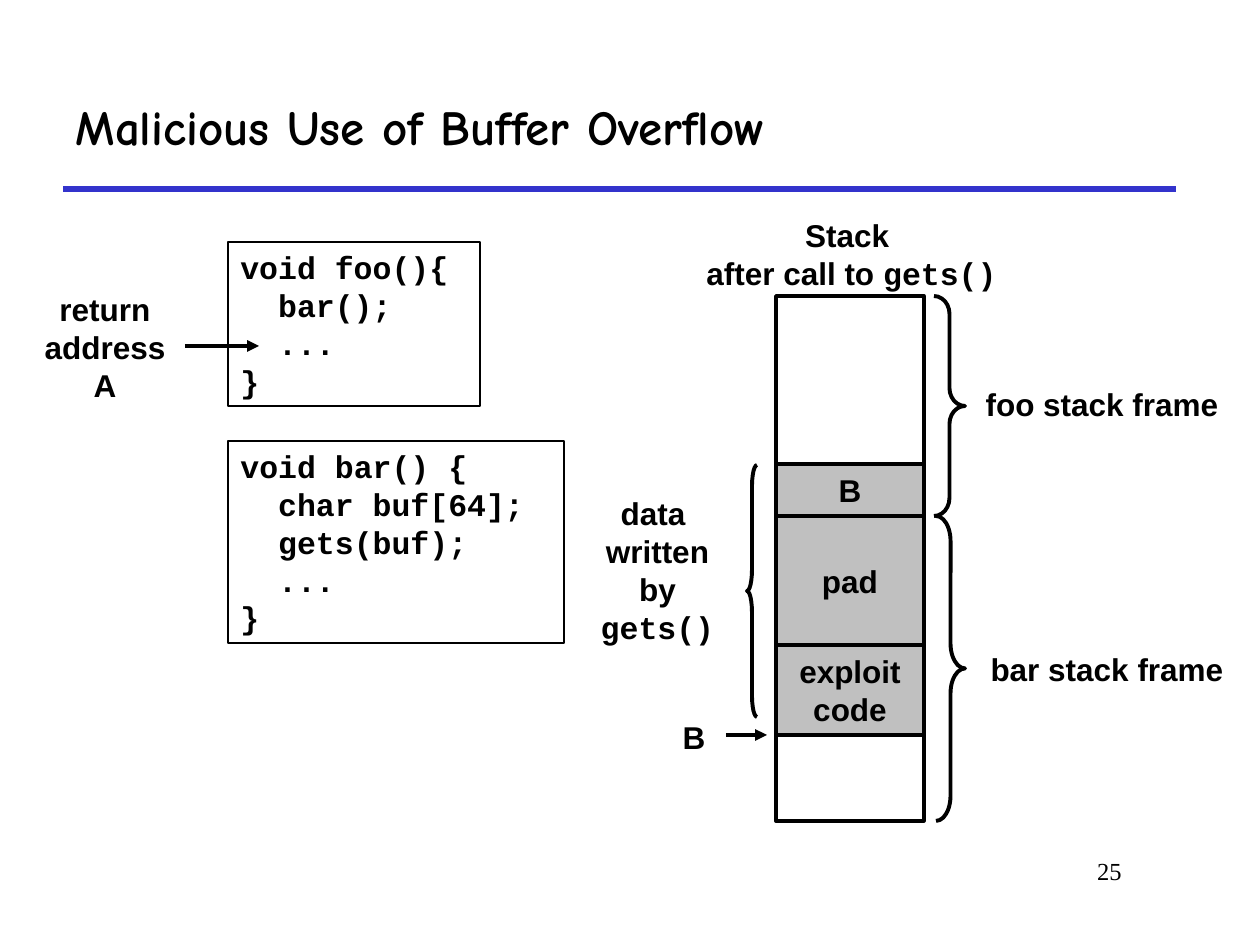
from dataclasses import dataclass

from lxml.etree import SubElement
from pptx import Presentation
from pptx.dml.color import RGBColor
from pptx.enum.shapes import MSO_CONNECTOR as Conn, MSO_SHAPE as Shape
from pptx.enum.text import MSO_ANCHOR as Anchor, MSO_AUTO_SIZE as Fit, PP_ALIGN as Align
from pptx.oxml.ns import qn
from pptx.util import Pt

EMU_PER_PX = 914400 / 126
BLACK, WHITE, GREY, BLUE = "000000", "FFFFFF", "C0C0C0", "3333CC"
SANS, MONO = "Arial", "Courier New"
STACK_X, STACK_W = 776, 148
CALL = "gets()"


@dataclass
class Code:
    y: int
    w: int
    h: int
    text: str


@dataclass
class Cell:
    y: int
    h: int
    fill: str
    line: float
    text: str = ""


@dataclass
class Label:
    x: int
    y: int
    w: int
    h: int
    text: str


@dataclass
class Brace:
    kind: Shape
    x: int
    y: int
    w: int
    h: int
    radius: int


@dataclass
class Line:
    x1: int
    x2: int
    y: int
    width: float
    color: str = BLACK
    arrow: bool = True


CODES = [
    Code(441, 336, 202, "void bar() {\n  char buf[64];\n  gets(buf);\n  ...\n}"),
    Code(242, 252, 164, "void foo(){\n  bar();\n  ...\n}"),
]
CELLS = [
    Cell(464, 52, GREY, 2, "B"),
    Cell(296, 168, WHITE, 2),
    Cell(735, 86, WHITE, 2),
    Cell(645, 90, GREY, 2.25, "exploit\ncode"),
    Cell(516, 129, GREY, 2.25, "pad"),
]
LABELS = [
    Label(32, 284, 146, 126, "return\naddress\nA"),
    Label(694, 210, 315, 88, "Stack \nafter call to gets()"),
    Label(973, 379, 258, 50, "foo stack frame"),
    Label(978, 644, 258, 50, "bar stack frame"),
    Label(670, 712, 48, 50, "B"),
    Label(588, 488, 139, 164, "data \nwritten\nby\ngets()"),
]
BRACES = [
    Brace(Shape.RIGHT_BRACE, 934, 296, 31, 220, 18),
    Brace(Shape.RIGHT_BRACE, 936, 516, 29, 305, 25),
    Brace(Shape.LEFT_BRACE, 747, 465, 10, 252, 21),
]
LINES = [
    Line(63, 1176, 189, 3, BLUE, False),
    Line(185, 259, 346, 2.25),
    Line(726, 767, 735, 2.25),
]


def px(*values: int) -> list[int]:
    """Turn pixel lengths into EMU."""
    return [round(v * EMU_PER_PX) for v in values]


def rgb(color: str) -> RGBColor:
    """Turn a hex string into a colour."""
    return RGBColor.from_string(color)


def style_run(r, font: str, size: int = 18, bold: bool = True) -> None:
    """Format one run in black."""
    r.font.name, r.font.size, r.font.bold = font, Pt(size), bold
    r.font.color.rgb = rgb(BLACK)


def write(tf, text: str, font: str, align: Align, anchor: Anchor, wrap: bool = False) -> None:
    """Write lines of text, setting the call to gets in monospace."""
    tf.word_wrap, tf.vertical_anchor = wrap, anchor
    tf.text = text
    for p in tf.paragraphs:
        p.alignment, p.line_spacing = align, Pt(21.6)
        before, call, after = p.text.partition(CALL)
        if call and font != MONO:
            p.text = before
            p.add_run().text = call + after
        for r in p.runs:
            style_run(r, MONO if CALL in r.text else font)


def add_outline(s, kind: Shape, box: list[int], width: float, fill: str = ""):
    """Add a black-outlined shape, filled when a colour is given."""
    sp = s.shapes.add_shape(kind, *box)
    sp.shadow.inherit = False
    if fill:
        sp.fill.solid()
        sp.fill.fore_color.rgb = rgb(fill)
    else:
        sp.fill.background()
    sp.line.color.rgb, sp.line.width = rgb(BLACK), Pt(width)
    return sp


def add_code(s, code: Code) -> None:
    """Add a listing in a thin frame."""
    sp = add_outline(s, Shape.RECTANGLE, px(228, code.y, code.w, code.h), 1)
    write(sp.text_frame, code.text, MONO, Align.LEFT, Anchor.TOP, True)


def add_cell(s, cell: Cell) -> None:
    """Add one region of the stack."""
    sp = add_outline(s, Shape.RECTANGLE, px(STACK_X, cell.y, STACK_W, cell.h), cell.line, cell.fill)
    if cell.text:
        write(sp.text_frame, cell.text, SANS, Align.CENTER, Anchor.MIDDLE)


def add_label(s, label: Label) -> None:
    """Add a centred label."""
    sp = s.shapes.add_textbox(*px(label.x, label.y, label.w, label.h))
    write(sp.text_frame, label.text, SANS, Align.CENTER, Anchor.MIDDLE)


def add_brace(s, brace: Brace) -> None:
    """Add a curly brace whose tip is at half height."""
    sp = add_outline(s, brace.kind, px(brace.x, brace.y, brace.w, brace.h), 2.25)
    sp.adjustments[0] = brace.radius / brace.w


def add_line(s, line: Line) -> None:
    """Add a horizontal line, with an arrowhead if asked."""
    c = s.shapes.add_connector(Conn.STRAIGHT, *px(line.x1, line.y, line.x2, line.y))
    c.line.color.rgb, c.line.width = rgb(line.color), Pt(line.width)
    if line.arrow:
        SubElement(c.line._get_or_add_ln(), qn("a:tailEnd"), type="triangle")
    SubElement(c._element.spPr, qn("a:effectLst"))


def add_title(s, text: str) -> None:
    """Fill and place the title placeholder."""
    sp = s.shapes.title
    sp.left, sp.top, sp.width, sp.height = px(63, 63, 1144, 126)
    tf = sp.text_frame
    tf.text, tf.auto_size, tf.vertical_anchor = text, Fit.NONE, Anchor.MIDDLE
    tf.paragraphs[0].alignment = Align.LEFT
    style_run(tf.paragraphs[0].runs[0], "Comic Neue", 28)


def add_number(s, text: str) -> None:
    """Add the slide number."""
    tf = s.shapes.add_textbox(*px(955, 850, 179, 63)).text_frame
    tf.text, tf.word_wrap = text, True
    tf.paragraphs[0].alignment = Align.RIGHT
    style_run(tf.paragraphs[0].runs[0], "Times New Roman", 14, False)


def main() -> None:
    """Build the slide and save it."""
    prs = Presentation()
    prs.slide_width, prs.slide_height = px(1260, 945)
    s = prs.slides.add_slide(prs.slide_layouts[5])
    add_title(s, "Malicious Use of Buffer Overflow")
    add_number(s, "25")
    for add, items in ((add_code, CODES), (add_cell, CELLS), (add_label, LABELS),
                       (add_brace, BRACES), (add_line, LINES)):
        for item in items:
            add(s, item)
    prs.save("out.pptx")


if __name__ == "__main__":
    main()
